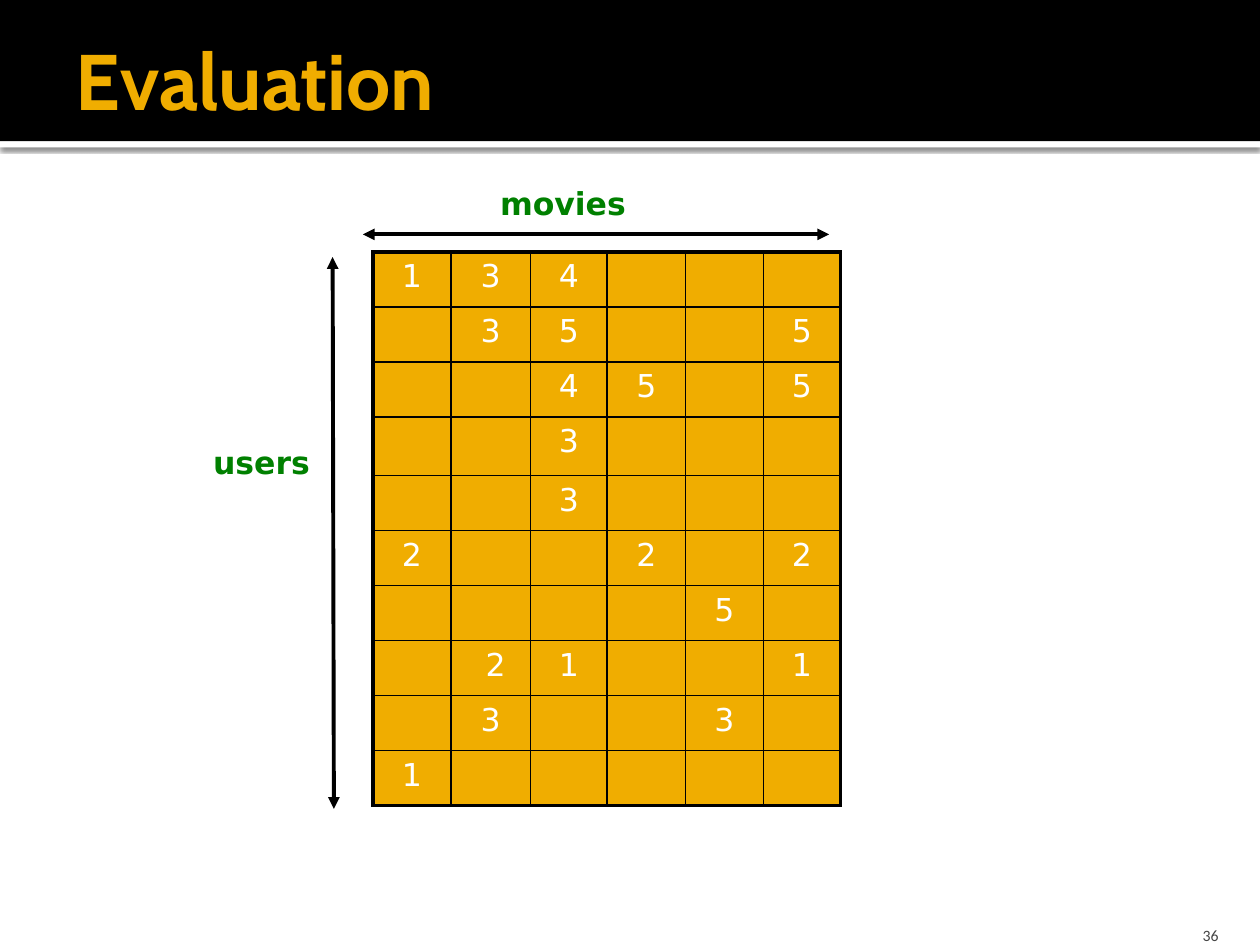
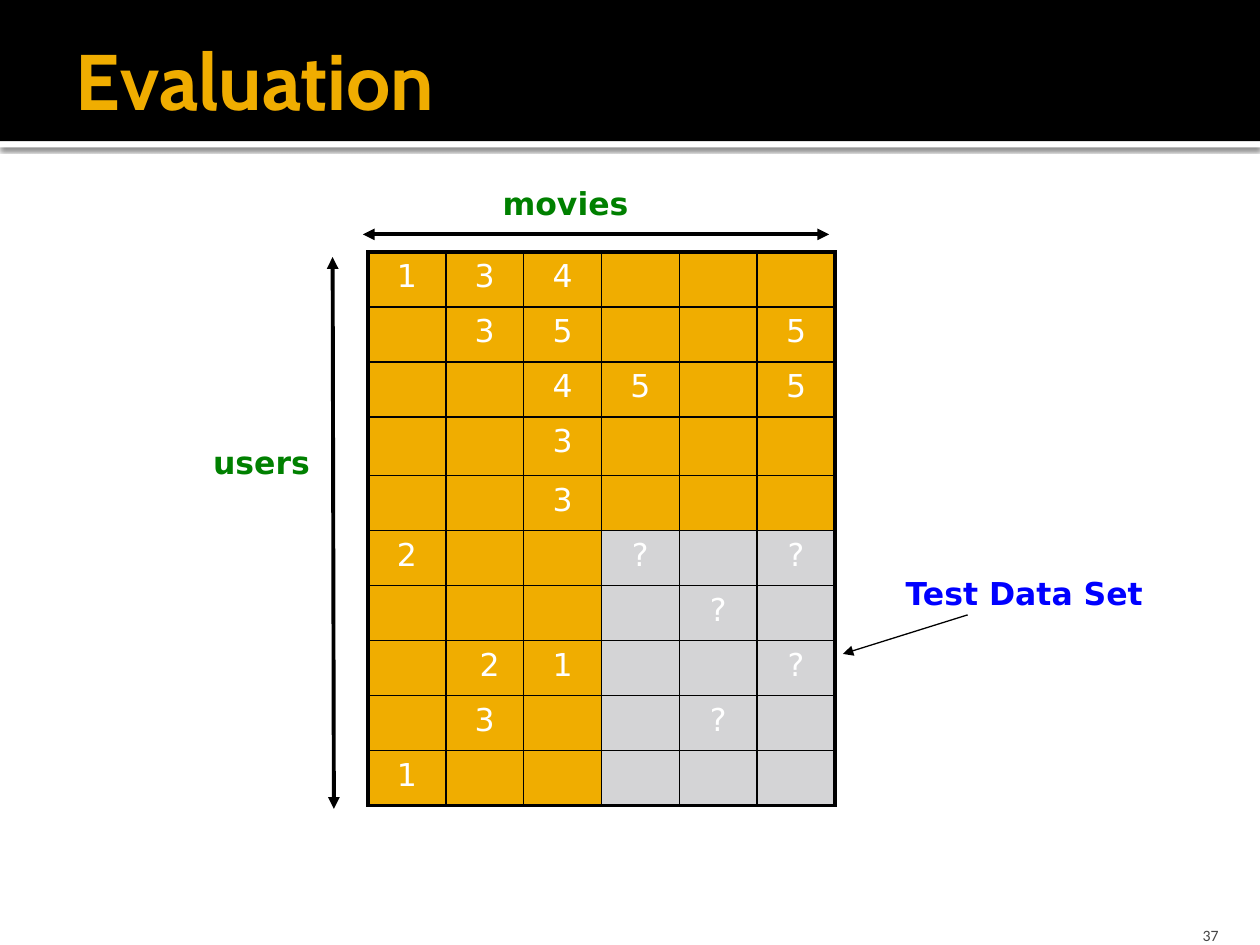
from lxml import etree
from pptx import Presentation
from pptx.dml.color import RGBColor
from pptx.enum.shapes import MSO_CONNECTOR, MSO_SHAPE
from pptx.enum.text import MSO_ANCHOR, MSO_AUTO_SIZE, PP_ALIGN
from pptx.oxml.ns import qn
from pptx.util import Inches, Pt

RECT = MSO_SHAPE.RECTANGLE
LINE = MSO_CONNECTOR.STRAIGHT
LEFT, MID, RIGHT = PP_ALIGN.LEFT, PP_ALIGN.CENTER, PP_ALIGN.RIGHT
CENTER, BOTTOM = MSO_ANCHOR.MIDDLE, MSO_ANCHOR.BOTTOM
FIT, FIXED = MSO_AUTO_SIZE.SHAPE_TO_FIT_TEXT, MSO_AUTO_SIZE.NONE

# Grid of the slide
WIDE, HIGH = Inches(10), Inches(7.5)
COLS, ROWS = 100, 75

# Colours and fonts
BLACK, WHITE, GOLD, GREY = "000000", "FFFFFF", "F0AD00", "D4D4D6"
GREEN, BLUE, DARK = "008000", "0000FF", "454545"
HEAD, BODY, SMALL = "Cabin", "DejaVu Sans", "Calibri"
THICK, THIN, FINE = 2.25, 1, 0.75

# Ratings: one line a user, one sign a movie, a dot where none is given
SEEN = ["134...", ".35..5", "..45.5", "..3...", "..3..."]
TRAIN = SEEN + ["2..2.2", "....5.", ".21..1", ".3..3.", "1....."]
TEST = SEEN + ["2..?.?", "....?.", ".21..?", ".3..?.", "1....."]
NUDGED = (7, 1)
TALL = 3


def tint(code):
    return RGBColor.from_string(code)


def across(n):
    return round(WIDE * n / COLS)


def down(n):
    return round(HIGH * n / ROWS)


def area(x, y, w, h):
    return across(x), down(y), across(w), down(h)


def node(parent, tag, **attrs):
    return etree.SubElement(parent, qn(tag), attrs)


class Deck:
    def __init__(self):
        self.file = Presentation()
        self.file.slide_width, self.file.slide_height = WIDE, HIGH
        self.page = None

    def start(self, title, number):
        """Add a slide with its bands, title and number."""
        self.page = self.file.slides.add_slide(self.file.slide_layouts[5])
        strip = self.band(11.2, 0.5, WHITE)
        effects = strip._element.spPr.find(qn("a:effectLst"))
        glow = node(effects, "a:outerShdw", blurRad=str(Pt(2.5)),
                    dist=str(Pt(0.8)), dir="5400000", algn="t", rotWithShape="0")
        node(node(glow, "a:srgbClr", val=BLACK), "a:alpha", val="60000")
        self.band(0, 11.2, BLACK)

        head = self.page.shapes.title
        self.page.shapes._spTree.append(head._element)
        head.left, head.top, head.width, head.height = area(5, 1.7, 90, 9.2)
        self.fit(head.text_frame, CENTER, (0.1, 0.05, 0.05, 0.05))
        self.put(head.text_frame.paragraphs[0], title, 45, HEAD, GOLD, True)

        foot = self.page.shapes.add_textbox(*area(89.7, 72, 8, 3)).text_frame
        self.fit(foot, BOTTOM, (0.1, 0.05, 0.1, 0))
        self.put(foot.paragraphs[0], number, 9, SMALL, DARK, align=RIGHT)

    def band(self, y, h, color):
        bar = self.page.shapes.add_shape(RECT, *area(0, y, COLS, h))
        bar.shadow.inherit = False
        bar.fill.solid()
        bar.fill.fore_color.rgb = tint(color)
        bar.line.fill.background()
        return bar

    def fit(self, frame, anchor, pads):
        frame.word_wrap, frame.auto_size = True, FIXED
        frame.vertical_anchor = anchor
        (frame.margin_left, frame.margin_top,
         frame.margin_right, frame.margin_bottom) = map(Inches, pads)

    def put(self, para, text, size, face, color, bold=False, align=LEFT):
        para.alignment = align
        run = para.add_run()
        run.text = text
        font = run.font
        font.size, font.name, font.bold = Pt(size), face, bold
        font.color.rgb = tint(color)

    def label(self, text, x, y, w, color, align=LEFT, wrap=False):
        frame = self.page.shapes.add_textbox(*area(x, y, w, 4)).text_frame
        frame.word_wrap, frame.auto_size = wrap, FIT
        self.put(frame.paragraphs[0], text, 18, BODY, color, True, align)

    def arrow(self, x1, y1, x2, y2, width, both=True):
        wire = self.page.shapes.add_connector(
            LINE, across(x1), down(y1), across(x2), down(y2))
        wire.line.color.rgb = tint(BLACK)
        wire.line.width = Pt(width)
        ends = ["a:headEnd", "a:tailEnd"] if both else ["a:tailEnd"]
        for end in ends:
            node(wire.line._get_or_add_ln(), end, type="triangle")
        node(wire._element.spPr, "a:effectLst")

    def border(self, cell, row, col, last):
        """Thick lines around the matrix, thin ones inside."""
        outer = {"L": col == 0, "R": col == last[1],
                 "T": row == 0, "B": row == last[0]}
        for side, edge in outer.items():
            rule = node(cell._tc.get_or_add_tcPr(), "a:ln" + side,
                        w=str(Pt(THICK if edge else THIN)))
            node(node(rule, "a:solidFill"), "a:srgbClr", val=BLACK)

    def matrix(self, x, marks, widths, held=False):
        """Draw the ratings; held greys the test block at lower right."""
        rows, cols = len(marks), len(widths)
        table = self.page.shapes.add_table(
            rows, cols, *area(x, 20, sum(widths), 44)).table
        table.first_row = table.horz_banding = False
        for col, width in zip(table.columns, widths):
            col.width = across(width)
        for r, line in enumerate(marks):
            table.rows[r].height = down(4.65 if r == TALL else 4.37)
            for c, mark in enumerate(line):
                cell = table.cell(r, c)
                self.border(cell, r, c, (rows - 1, cols - 1))
                cell.fill.solid()
                test = held and r >= rows // 2 and c >= cols // 2
                cell.fill.fore_color.rgb = tint(GREY if test else GOLD)
                if (r, c) == NUDGED:
                    cell.margin_left = Inches(0.18)
                if mark != ".":
                    self.put(cell.text_frame.paragraphs[0], mark, 18, BODY,
                             WHITE, align=MID)

    def axes(self, x):
        """Name both sides of the matrix."""
        self.label("movies", x, 14.1, 12.1, GREEN)
        self.label("users", 11, 34.7, 19.5, GREEN, MID, True)
        self.arrow(26.4, 20.4, 26.5, 64.2, THICK)
        self.arrow(28.8, 18.6, 65.8, 18.6, THICK)


def main():
    deck = Deck()

    # All ratings
    deck.start("Evaluation", "36")
    deck.matrix(29.6, TRAIN, [6.2, 6.3, 6.1, 6.2, 6.2, 6.1])
    deck.axes(38.7)

    # Ratings held back for the test
    deck.start("Evaluation", "37")
    deck.matrix(29.2, TEST, [6.18] * 6, held=True)
    deck.axes(38.9)
    deck.label("Test Data Set", 70.9, 45.1, 21, BLUE)
    deck.arrow(76.8, 48.8, 66.9, 51.9, FINE, both=False)

    deck.file.save("out.pptx")


if __name__ == "__main__":
    main()
